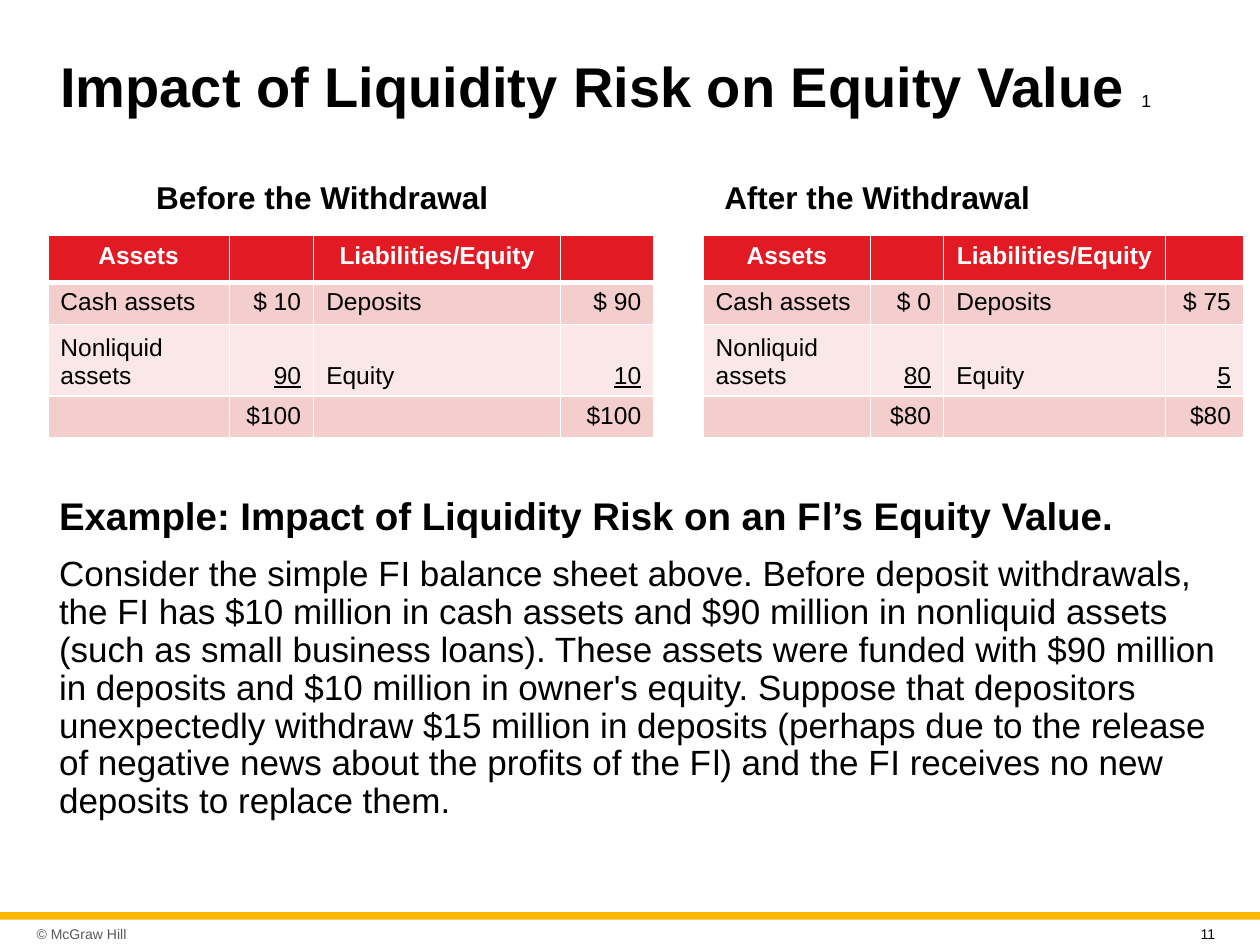
from lxml import etree
from pptx import Presentation
from pptx import util as u
from pptx.dml.color import RGBColor
from pptx.enum import shapes, text
from pptx.oxml.ns import qn

Inches, Pt = u.Inches, u.Pt
COLORS = {"black": "000000", "white": "FFFFFF", "gray": "595959", "gold": "FFB600",
          "header": "E21A23", "band": "F4CDCD", "light": "FAE8E8"}
FONT = "Arial"
ROW_HEIGHTS = (0.37, 0.32, 0.54, 0.32)
ROW_FILLS = ("header", "band", "light", "band")
LEFT, CENTER, RIGHT = text.PP_ALIGN.LEFT, text.PP_ALIGN.CENTER, text.PP_ALIGN.RIGHT
TOP, MIDDLE, BOTTOM = text.MSO_ANCHOR.TOP, text.MSO_ANCHOR.MIDDLE, text.MSO_ANCHOR.BOTTOM

EXAMPLE_HEADING = "Example: Impact of Liquidity Risk on an F|l’s Equity Value."
EXAMPLE_BODY = (
    "Consider the simple F|I balance sheet above. Before deposit withdrawals, the F|I has "
    "$10 million in cash assets and $90 million in nonliquid assets (such as small business "
    "loans). These assets were funded with $90 million in deposits and $10 million in owner's "
    "equity. Suppose that depositors unexpectedly withdraw $15 million in deposits (perhaps "
    "due to the release of negative news about the profits of the F|l) and the F|I receives "
    "no new deposits to replace them.")


def color(name):
    """Return the named colour."""
    return RGBColor.from_string(COLORS[name])


def add_run(paragraph, words, size, bold=False, shade="black", underline=None):
    """Add one formatted run to a paragraph."""
    run = paragraph.add_run()
    run.text = words
    run.font.name, run.font.size, run.font.bold = FONT, Pt(size), bold
    run.font.underline = underline
    run.font.color.rgb = color(shade)


def add_spaced_runs(paragraph, words, size, bold=False):
    """Add runs with a hairline space at each bar in the words."""
    for index, part in enumerate(words.split("|")):
        if index:
            add_run(paragraph, " ", 1, bold)
        add_run(paragraph, part, size, bold)


def add_text_box(slide, box, anchor=TOP, line_spacing=0.9):
    """Add a wrapping text box and return its text frame."""
    frame = slide.shapes.add_textbox(*map(Inches, box)).text_frame
    frame.word_wrap = True
    frame.vertical_anchor = anchor
    frame.paragraphs[0].line_spacing = line_spacing
    return frame


def add_title(slide, box):
    """Place the slide title with its small part number."""
    paragraph = add_text_box(slide, box, MIDDLE).paragraphs[0]
    add_run(paragraph, "Impact of Liquidity Risk on Equity Value ", 32, True)
    add_run(paragraph, "1", 10)


def add_borders(cell, is_header):
    """Draw white borders, thicker below the header row."""
    properties = cell._tc.get_or_add_tcPr()
    for index, side in enumerate("LRTB"):
        width = 3 if is_header and side == "B" else 1
        line = etree.Element(qn(f"a:ln{side}"), w=str(Pt(width)))
        fill = etree.SubElement(line, qn("a:solidFill"))
        etree.SubElement(fill, qn("a:srgbClr"), val=COLORS["white"])
        properties.insert(index, line)


def fill_cell(cell, words, row, column):
    """Write and format one balance sheet cell."""
    is_header, is_amount = row == 0, column % 2 == 1
    cell.fill.solid()
    cell.fill.fore_color.rgb = color(ROW_FILLS[row])
    add_borders(cell, is_header)
    cell.vertical_anchor = BOTTOM if row == 2 else TOP
    paragraph = cell.text_frame.paragraphs[0]
    paragraph.alignment = CENTER if is_header else RIGHT if is_amount else LEFT
    if words:
        underline = True if row == 2 and is_amount else None
        add_run(paragraph, words, 14, is_header, "white" if is_header else "black", underline)
    else:
        etree.SubElement(paragraph._p, qn("a:endParaRPr"), sz="1400")


def add_balance_sheet(slide, heading, heading_box, left, top, widths, amounts):
    """Place a heading and its balance sheet table."""
    paragraph = add_text_box(slide, heading_box).paragraphs[0]
    add_run(paragraph, heading, 18, True)
    cash, deposits, nonliquid, equity, total = amounts
    rows = (("Assets", "", "Liabilities/Equity", ""),
            ("Cash assets", cash, "Deposits", deposits),
            ("Nonliquid assets", nonliquid, "Equity", equity),
            ("", total, "", total))
    box = (left, top, sum(widths), sum(ROW_HEIGHTS))
    table = slide.shapes.add_table(len(rows), len(widths), *map(Inches, box)).table
    for column, width in zip(table.columns, widths):
        column.width = Inches(width)
    for row, height in zip(table.rows, ROW_HEIGHTS):
        row.height = Inches(height)
    for row, entries in enumerate(rows):
        for column, words in enumerate(entries):
            fill_cell(table.cell(row, column), words, row, column)


def add_example(slide, box):
    """Place the example heading and its explanation."""
    frame = add_text_box(slide, box)
    add_spaced_runs(frame.paragraphs[0], EXAMPLE_HEADING, 22, True)
    paragraph = frame.add_paragraph()
    paragraph.line_spacing, paragraph.space_before = 0.9, Pt(10)
    add_spaced_runs(paragraph, EXAMPLE_BODY, 20)


def add_footer(slide, top, width):
    """Place the gold bar, copyright line and slide number."""
    bar = slide.shapes.add_shape(shapes.MSO_SHAPE.RECTANGLE, 0, Inches(top),
                                 Inches(width), Inches(0.06))
    bar.shadow.inherit = False
    bar.fill.solid()
    bar.fill.fore_color.rgb = color("gold")
    bar.line.fill.background()
    frame = add_text_box(slide, (0.24, top + 0.05, 1.35, 0.24), MIDDLE, 1)
    frame.margin_left = frame.margin_right = Inches(0.05)
    add_run(frame.paragraphs[0], "© McGraw Hill", 8, shade="gray")
    frame = add_text_box(slide, (width - 0.57, top + 0.06, 0.39, 0.18), line_spacing=1)
    add_run(frame.paragraphs[0], "11", 8)


def main():
    """Build and save the slide."""
    presentation = Presentation()
    presentation.slide_width, presentation.slide_height = Inches(10), Inches(7.5)
    slide = presentation.slides.add_slide(presentation.slide_layouts[6])
    add_footer(slide, 7.24, 10)
    add_title(slide, (0.38, 0.21, 9.25, 0.99))
    add_balance_sheet(slide, "Before the Withdrawal", (1.14, 1.4, 2.88, 0.39), 0.38, 1.87,
                      (1.44, 0.67, 1.96, 0.74), ("$ 10", "$ 90", "90", "10", "$100"))
    add_balance_sheet(slide, "After the Withdrawal", (5.65, 1.4, 2.66, 0.39), 5.58, 1.87,
                      (1.33, 0.58, 1.76, 0.62), ("$ 0", "$ 75", "80", "5", "$80"))
    add_example(slide, (0.37, 3.9, 9.39, 2.99))
    presentation.save("out.pptx")


if __name__ == "__main__":
    main()
